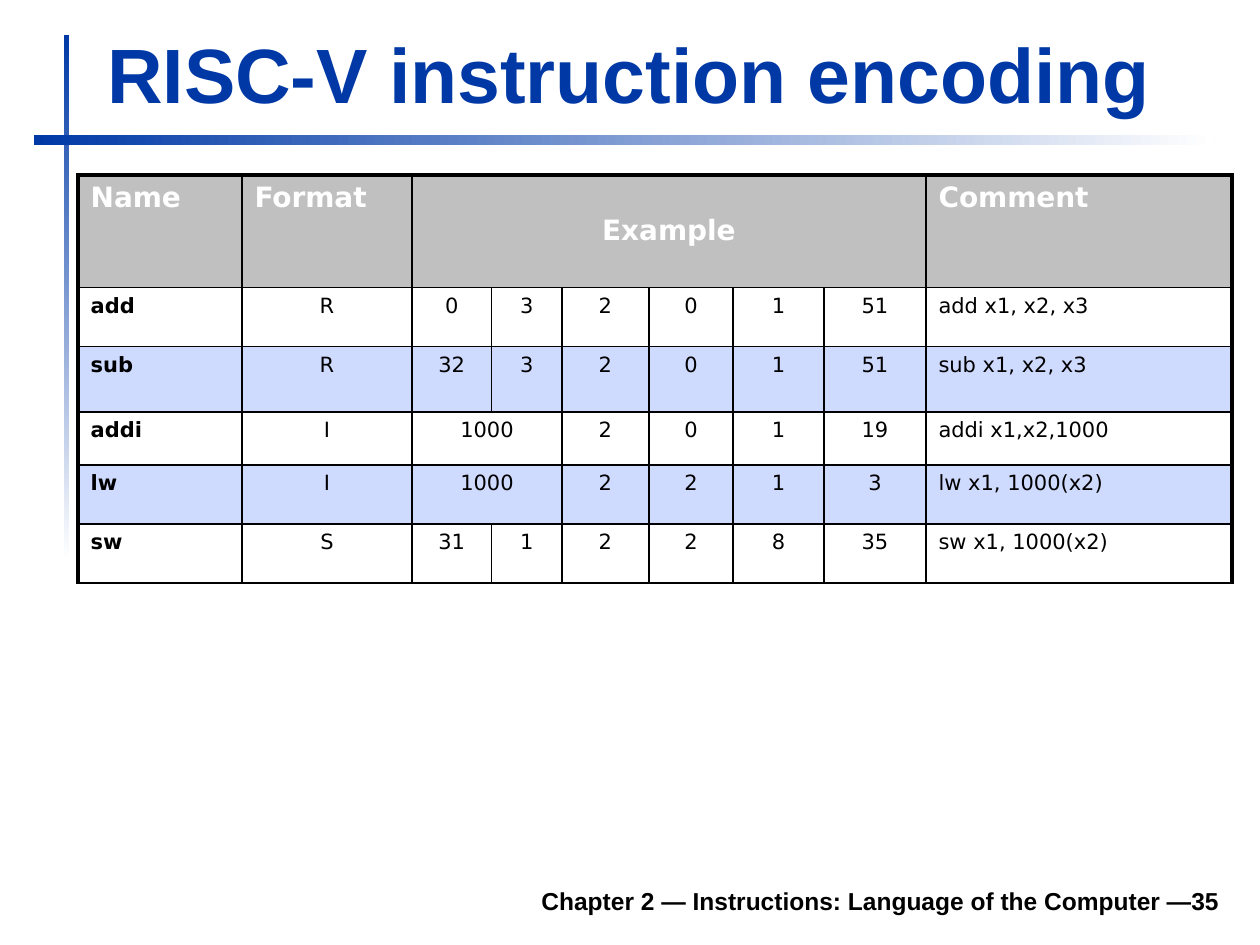
from pptx import Presentation
from pptx import util as u
from pptx.dml.color import RGBColor
from pptx.enum import shapes, text
from pptx.oxml import parse_xml
from pptx.oxml.ns import nsdecls

PX_PER_INCH = 100
COLORS = {
    "blue": "0039A6",
    "white": "FFFFFF",
    "black": "000000",
    "header": "C0C0C0",
    "band": "CFDAFF",
}
COLUMN_WIDTHS = [130, 135, 63, 56, 69, 67, 72, 81, 243]
ROW_HEIGHTS = [89, 47, 52, 42, 47, 47]
SPAN = None
INSTRUCTIONS = [
    ["Name", "Format", "Example", SPAN, SPAN, SPAN, SPAN, SPAN, "Comment"],
    ["add", "R", "0", "3", "2", "0", "1", "51", "add x1, x2, x3"],
    ["sub", "R", "32", "3", "2", "0", "1", "51", "sub x1, x2, x3"],
    ["addi", "I", "1000", SPAN, "2", "0", "1", "19", "addi x1,x2,1000"],
    ["lw", "I", "1000", SPAN, "2", "2", "1", "3", "lw x1, 1000(x2)"],
    ["sw", "S", "31", "1", "2", "2", "8", "35", "sw x1, 1000(x2)"],
]
LAST_COLUMN = len(COLUMN_WIDTHS) - 1


def px(length):
    return u.Emu(length * 914400 // PX_PER_INCH)


def rgb(name):
    return RGBColor.from_string(COLORS[name])


def write(frame, words, size, font_name, color, bold, align):
    paragraph = frame.paragraphs[0]
    paragraph.alignment = align
    run = paragraph.add_run()
    run.text = words
    run.font.size = u.Pt(size)
    run.font.name = font_name
    run.font.bold = bold
    run.font.color.rgb = rgb(color)


def add_fading_rule(slide, box, angle):
    rule = slide.shapes.add_shape(shapes.MSO_SHAPE.RECTANGLE, *map(px, box))
    rule.shadow.inherit = False
    rule.line.fill.background()
    rule.fill.gradient()
    rule.fill.gradient_angle = angle
    for stop, position, color in zip(rule.fill.gradient_stops, (0, 1), ("blue", "white")):
        stop.position = position
        stop.color.rgb = rgb(color)


def place_title(slide, box):
    title = slide.shapes.title
    title.left, title.top, title.width, title.height = map(px, box)
    frame = title.text_frame
    frame.word_wrap = True
    frame.auto_size = text.MSO_AUTO_SIZE.NONE
    frame.vertical_anchor = text.MSO_ANCHOR.BOTTOM
    write(frame, "RISC-V instruction encoding", 44, "Arial", "blue", True, text.PP_ALIGN.LEFT)


def add_footer(slide, box):
    frame = slide.shapes.add_textbox(*map(px, box)).text_frame
    frame.word_wrap = True
    frame.vertical_anchor = text.MSO_ANCHOR.MIDDLE
    write(frame, "Chapter 2 — Instructions: Language of the Computer —35",
          14, "Arial", "black", True, text.PP_ALIGN.RIGHT)


def set_borders(cell, row, column):
    outer_edges = {"L": column == 0, "R": column == LAST_COLUMN, "T": row == 0, "B": False}
    properties = cell._tc.get_or_add_tcPr()
    for order, (side, is_outer) in enumerate(outer_edges.items()):
        width = u.Pt(2.25 if is_outer else 1)
        properties.insert(order, parse_xml(
            f'<a:ln{side} {nsdecls("a")} w="{width}"><a:solidFill>'
            f'<a:srgbClr val="{COLORS["black"]}"/></a:solidFill></a:ln{side}>'))


def fill_cell(cell, row, column, words):
    is_header = row == 0
    cell.fill.solid()
    cell.fill.fore_color.rgb = rgb("header" if is_header else "white" if row % 2 else "band")
    set_borders(cell, row, column)
    if words is SPAN:
        return
    centered = words == "Example" if is_header else 0 < column < LAST_COLUMN
    if words == "Example":
        cell.vertical_anchor = text.MSO_ANCHOR.MIDDLE
    write(cell.text_frame, words, 16 if is_header else 12, "DejaVu Sans",
          "white" if is_header else "black", is_header or column == 0,
          text.PP_ALIGN.CENTER if centered else text.PP_ALIGN.LEFT)


def add_encoding_table(slide, left, top):
    table = slide.shapes.add_table(
        len(ROW_HEIGHTS), len(COLUMN_WIDTHS), px(left), px(top),
        px(sum(COLUMN_WIDTHS)), px(sum(ROW_HEIGHTS))).table
    table.first_row = table.horz_banding = False
    for column, width in zip(table.columns, COLUMN_WIDTHS):
        column.width = px(width)
    for row, height in zip(table.rows, ROW_HEIGHTS):
        row.height = px(height)
    for row, entries in enumerate(INSTRUCTIONS):
        for column, words in enumerate(entries):
            fill_cell(table.cell(row, column), row, column, words)
        if SPAN in entries:
            first = entries.index(SPAN) - 1
            table.cell(row, first).merge(table.cell(row, first + entries.count(SPAN)))


def build_encoding_slide(deck):
    slide = deck.slides.add_slide(deck.slide_layouts[5])
    add_fading_rule(slide, (51, 28, 4, 417), 270)
    add_fading_rule(slide, (27, 107, 937, 8), 0)
    add_encoding_table(slide, 62, 139)
    place_title(slide, (75, 15, 903, 84))
    add_footer(slide, (288, 695, 690, 40))


def main():
    deck = Presentation()
    deck.slide_width, deck.slide_height = px(1000), px(750)
    build_encoding_slide(deck)
    deck.save("out.pptx")


if __name__ == "__main__":
    main()
